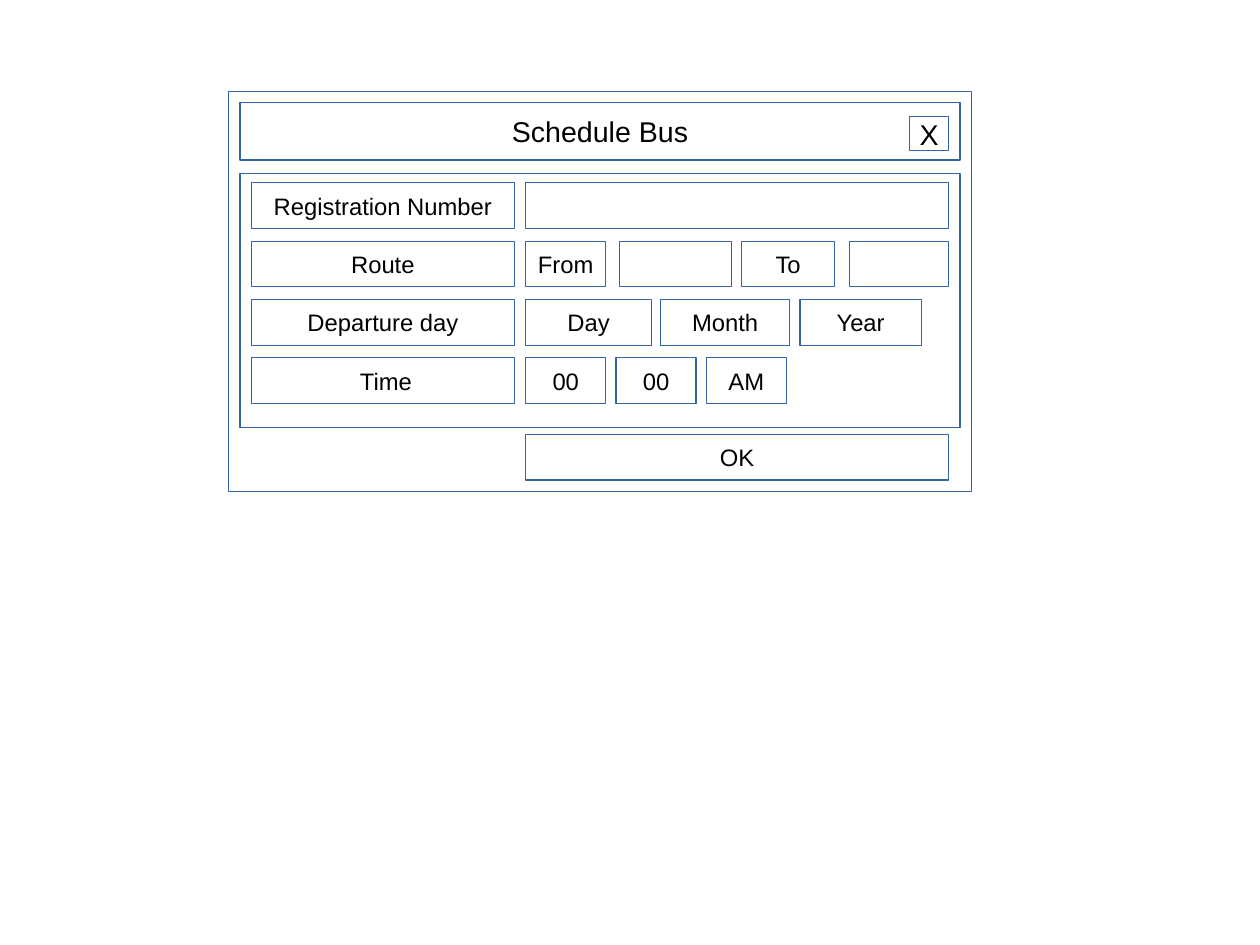
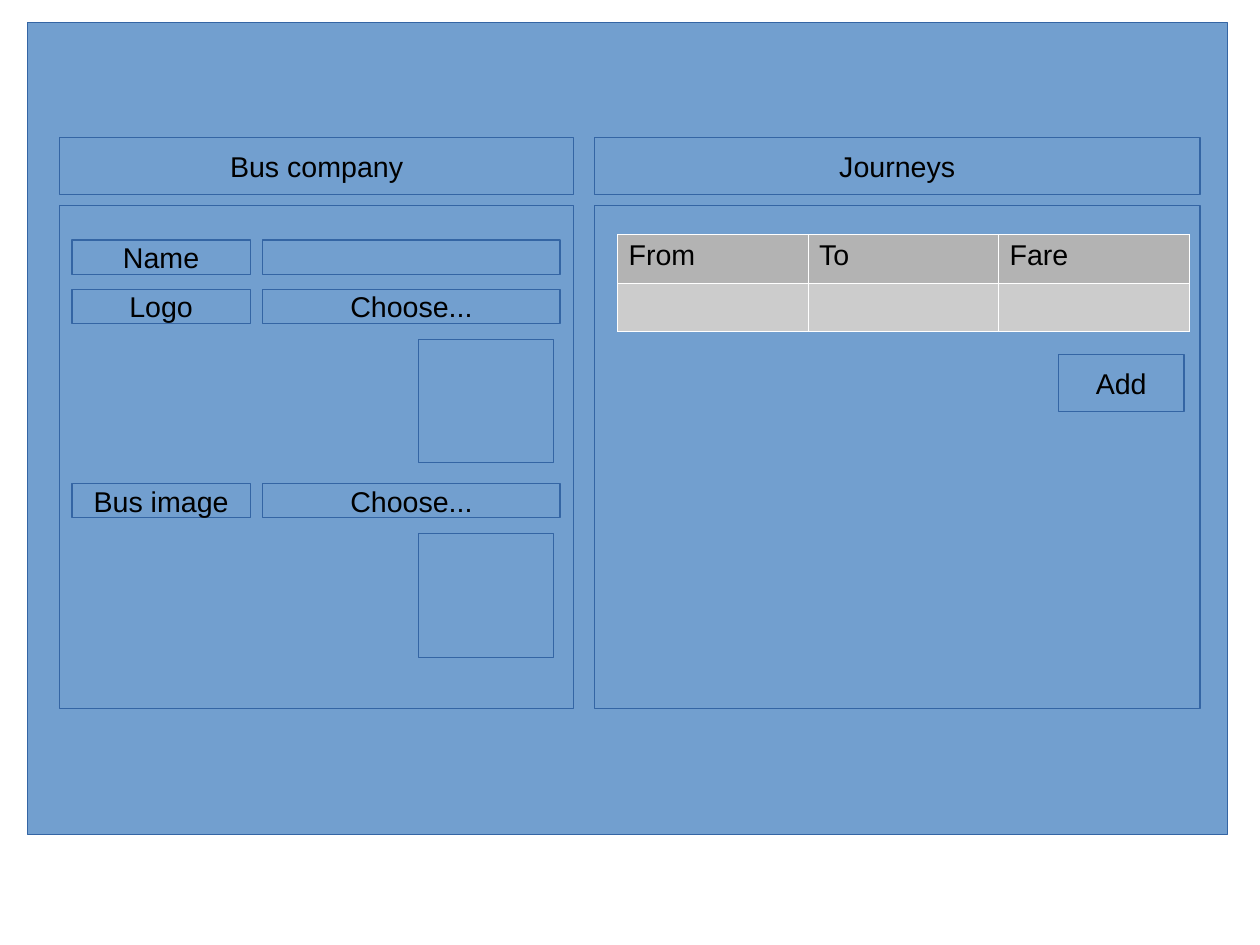
from dataclasses import dataclass
from lxml.etree import SubElement
from pptx import Presentation
from pptx.dml.color import RGBColor
from pptx.enum.shapes import MSO_SHAPE as Shape
from pptx.enum.text import MSO_ANCHOR as Anchor, PP_ALIGN as Align
from pptx.oxml.ns import qn
from pptx.util import Cm, Inches, Pt

# Content: each form field is (offset in the field column, width, text)
SCHEDULE_TITLE = "Schedule Bus"
CLOSE, CONFIRM = "X", "OK"
FIELD_WIDTH = 3.7
TIME_PARTS = ("00", "00", "AM")
SCHEDULE_ROWS = [
    ("Registration Number", [(0, FIELD_WIDTH, "")]),
    ("Route", [(0, 0.7, "From"), (0.82, 0.98, ""), (1.89, 0.81, "To"), (2.83, 0.87, "")]),
    ("Departure day", [(0, 1.1, "Day"), (1.18, 1.13, "Month"), (2.4, 1.06, "Year")]),
    (" Time", [(0.79 * i, 0.7, part) for i, part in enumerate(TIME_PARTS)]),
]

# Panels are (title, left, width); company rows are (label, field text, top, has preview)
COMPANY = ("Bus company", 0.52, 4.5)
JOURNEYS = ("Journeys", 5.2, 5.3)
COMPANY_ROWS = [
    ("Name", "", 2.1, False),
    ("Logo", "Choose...", 2.53, True),
    ("Bus image", "Choose...", 4.23, True),
]
JOURNEY_TABLE = [("From", "To", "Fare"), ("", "", "")]
ADD = "Add"


@dataclass(frozen=True)
class Theme:
    """Colours, font and type sizes of both slides."""
    paper: str = "FFFFFF"
    blue: str = "729FCF"
    outline: str = "3465A4"
    ink: str = "000000"
    header: str = "B3B3B3"
    body: str = "CCCCCC"
    font: str = "Arial"
    large: int = 18
    small: int = 15
    line: float = 0.75
    hairline: int = 720  # EMU


THEME = Theme()
rgb = RGBColor.from_string


def style(paragraph, size):
    """Set the theme font on a paragraph."""
    font = paragraph.font
    font.name, font.size = THEME.font, Pt(size)
    font.color.rgb = rgb(THEME.ink)


def box(slide, left, top, width, height, text="", fill=THEME.paper, size=THEME.large):
    """Draw an outlined rectangle with optional centred text."""
    rect = slide.shapes.add_shape(
        Shape.RECTANGLE, *map(Inches, (left, top, width, height)))
    rect.shadow.inherit = False
    rect.fill.solid()
    rect.fill.fore_color.rgb = rgb(fill)
    rect.line.color.rgb = rgb(THEME.outline)
    rect.line.width = Pt(THEME.line)
    if text:
        frame = rect.text_frame
        frame.word_wrap = False
        frame.vertical_anchor = Anchor.MIDDLE
        frame.text = text
        paragraph = frame.paragraphs[0]
        paragraph.alignment = Align.CENTER
        style(paragraph, size)


def border(cell):
    """Give a cell thin light borders on all sides."""
    properties = cell._tc.get_or_add_tcPr()
    for side in ("a:lnL", "a:lnR", "a:lnT", "a:lnB"):
        edge = SubElement(properties, qn(side), w=str(THEME.hairline))
        solid = SubElement(edge, qn("a:solidFill"))
        SubElement(solid, qn("a:srgbClr"), val=THEME.paper)


def journey_table(slide, left, top, width, height):
    """Add the journeys table with a darker header row."""
    rows, columns = len(JOURNEY_TABLE), len(JOURNEY_TABLE[0])
    table = slide.shapes.add_table(
        rows, columns, *map(Inches, (left, top, width, height))).table
    table.first_row = table.horz_banding = False
    for r, texts in enumerate(JOURNEY_TABLE):
        for c, text in enumerate(texts):
            cell = table.cell(r, c)
            border(cell)
            cell.fill.solid()
            cell.fill.fore_color.rgb = rgb(THEME.body if r else THEME.header)
            cell.text = text
            style(cell.text_frame.paragraphs[0], THEME.large)


def schedule_slide(slide):
    """Build the dialog that schedules a bus."""
    label_left, field_left, first_top = 2.2, 4.6, 1.6
    label_width, row_height, row_step = 2.3, 0.4, 0.51
    box(slide, 2, 0.8, 6.5, 3.5)
    box(slide, 2.1, 0.9, 6.3, 0.5, SCHEDULE_TITLE)
    box(slide, 2.1, 1.52, 6.3, 2.22)
    for i, (label, fields) in enumerate(SCHEDULE_ROWS):
        top = first_top + i * row_step
        box(slide, label_left, top, label_width, row_height, label, size=THEME.small)
        for offset, width, text in fields:
            box(slide, field_left + offset, top, width, row_height, text, size=THEME.small)
    box(slide, field_left, 3.8, FIELD_WIDTH, row_height, CONFIRM, size=THEME.small)
    box(slide, 7.96, 1.02, 0.34, 0.3, CLOSE)


def company_slide(slide):
    """Build the page with the company form and its journeys."""
    def blue(*place, text=""):
        """Draw a box in the page colour."""
        box(slide, *place, text=text, fill=THEME.blue)

    def panel(title, left, width):
        """Draw a panel body with its title bar."""
        blue(left, 1.8, width, 4.4)
        blue(left, 1.2, width, 0.5, text=title)

    blue(0.24, 0.2, 10.5, 7.1)
    panel(*COMPANY)
    for label, field, top, has_preview in COMPANY_ROWS:
        blue(2.3, top, 2.6, 0.3, text=field)
        blue(0.63, top, 1.56, 0.3, text=label)
        if has_preview:
            blue(3.66, top + 0.44, 1.18, 1.08)
    panel(*JOURNEYS)
    journey_table(slide, 5.4, 2.05, 5, 0.85)
    blue(9.26, 3.1, 1.1, 0.5, text=ADD)


deck = Presentation()
deck.slide_width, deck.slide_height = Cm(28), Cm(21)
blank = deck.slide_layouts[6]
for build in (schedule_slide, company_slide):
    build(deck.slides.add_slide(blank))
deck.save("out.pptx")
